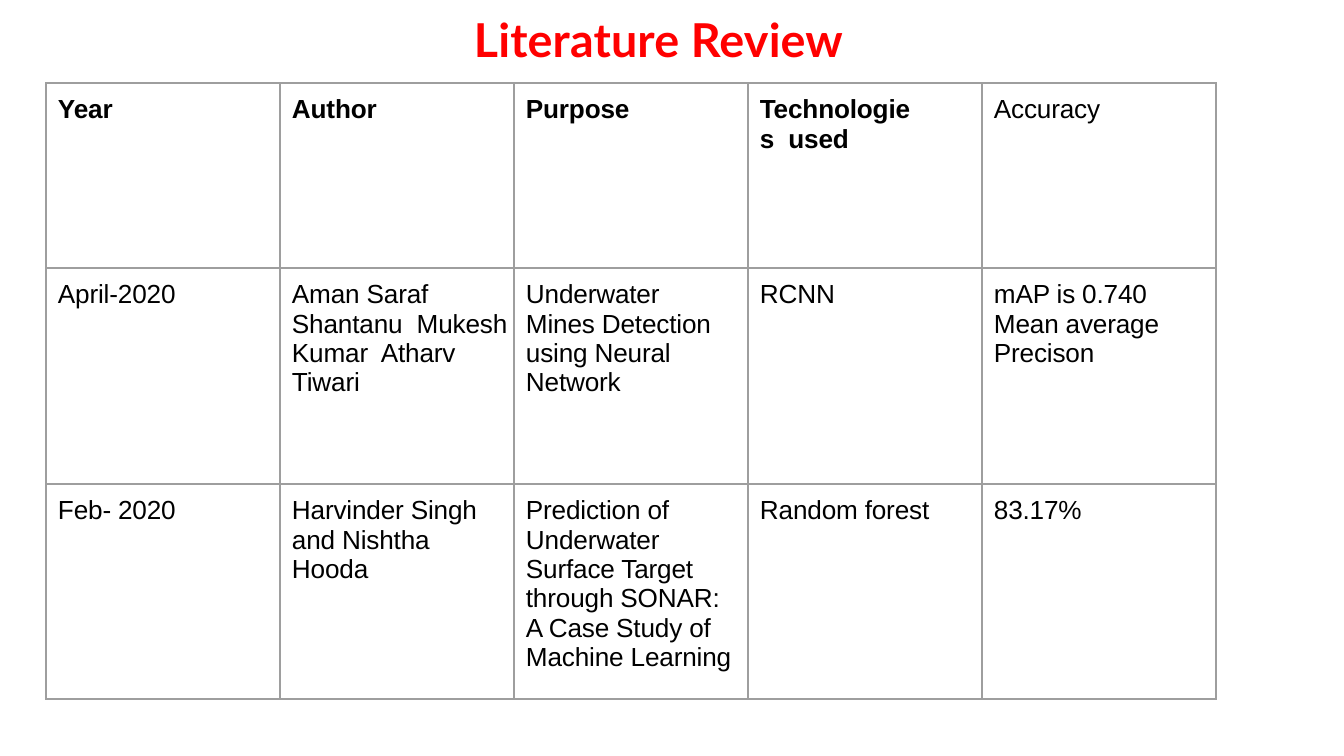
from dataclasses import dataclass

from lxml.etree import SubElement as Sub
from pptx import Presentation
from pptx.dml.color import RGBColor as RGB
from pptx.oxml.ns import qn
from pptx.util import Pt

SCALE = 914400 / 134.4


@dataclass(frozen=True)
class Theme:
    head: str = "Lato"
    body: str = "Arial"
    red: str = "FF0000"
    ink: str = "000000"
    rule: str = "9E9E9E"
    big: int = 25
    small: int = 14
    line: float = 0.75


THEME = Theme()

ROWS = [
    ["Year", "Author", "Purpose", "Technologies  used", "Accuracy"],
    ["April-2020", "Aman Saraf  Shantanu  Mukesh Kumar  Atharv Tiwari",
     "Underwater  Mines Detection  using Neural  Network", "RCNN",
     "mAP is 0.740  Mean average  Precison"],
    ["Feb- 2020", "Harvinder Singh  and Nishtha  Hooda",
     "Prediction of  Underwater  Surface Target  through SONAR:  "
     "A Case Study of  Machine Learning", "Random forest", "83.17%"],
]
HEIGHTS = [185, 216, 215]
WIDTH = 234
# Right indents that narrow the text of single cells
NARROW = {(0, 3): 60, (1, 2): 20}


def px(n):
    return round(n * SCALE)


def style(para, font, size, color, bold, track, before):
    para.space_before = Pt(before)
    for run in para.runs:
        face = run.font
        face.name, face.size, face.bold = font, Pt(size), bold
        face.color.rgb = RGB.from_string(color)
        run._r.get_or_add_rPr().set("spc", str(track))


def indent(para, left, right=0):
    props = para._p.get_or_add_pPr()
    props.set("marL", str(px(left)))
    props.set("marR", str(px(right)))
    props.set("indent", "0")


def border(cell):
    props = cell._tc.get_or_add_tcPr()
    for i, side in enumerate(("lnL", "lnR", "lnT", "lnB")):
        line = props.makeelement(qn(f"a:{side}"), {"w": str(Pt(THEME.line))})
        fill = Sub(line, qn("a:solidFill"))
        Sub(fill, qn("a:srgbClr"), val=THEME.rule)
        props.insert(i, line)


def add_title(slide, text):
    box = slide.shapes.add_textbox(px(472), px(9), px(400), px(60))
    frame = box.text_frame
    frame.word_wrap = True
    frame.margin_left = frame.margin_right = frame.margin_bottom = 0
    frame.margin_top = px(2)
    frame.text = text
    para = frame.paragraphs[0]
    indent(para, 2)
    style(para, THEME.head, THEME.big, THEME.red, True, 10, 1.2)


def fill_cell(cell, text, bold, right):
    cell.margin_left = cell.margin_right = cell.margin_bottom = 0
    cell.margin_top = px(12)
    cell.fill.background()
    border(cell)
    cell.text_frame.text = text
    para = cell.text_frame.paragraphs[0]
    indent(para, 12, right)
    style(para, THEME.body, THEME.small, THEME.ink, bold, -10, 6.2)


def add_grid(slide):
    count = len(ROWS[0])
    table = slide.shapes.add_table(
        len(ROWS), count, px(46), px(83),
        px(WIDTH * count), px(sum(HEIGHTS))).table
    table.first_row = table.horz_banding = False
    for col in table.columns:
        col.width = px(WIDTH)
    for r, (row, high) in enumerate(zip(ROWS, HEIGHTS)):
        table.rows[r].height = px(high)
        for c, text in enumerate(row):
            bold = r == 0 and c < count - 1
            fill_cell(table.cell(r, c), text, bold, NARROW.get((r, c), 0))


def main():
    deck = Presentation()
    deck.slide_width, deck.slide_height = px(1344), px(756)
    slide = deck.slides.add_slide(deck.slide_layouts[6])
    # Heading
    add_title(slide, "Literature Review")
    # Table of reviewed papers
    add_grid(slide)
    deck.save("out.pptx")


if __name__ == "__main__":
    main()
